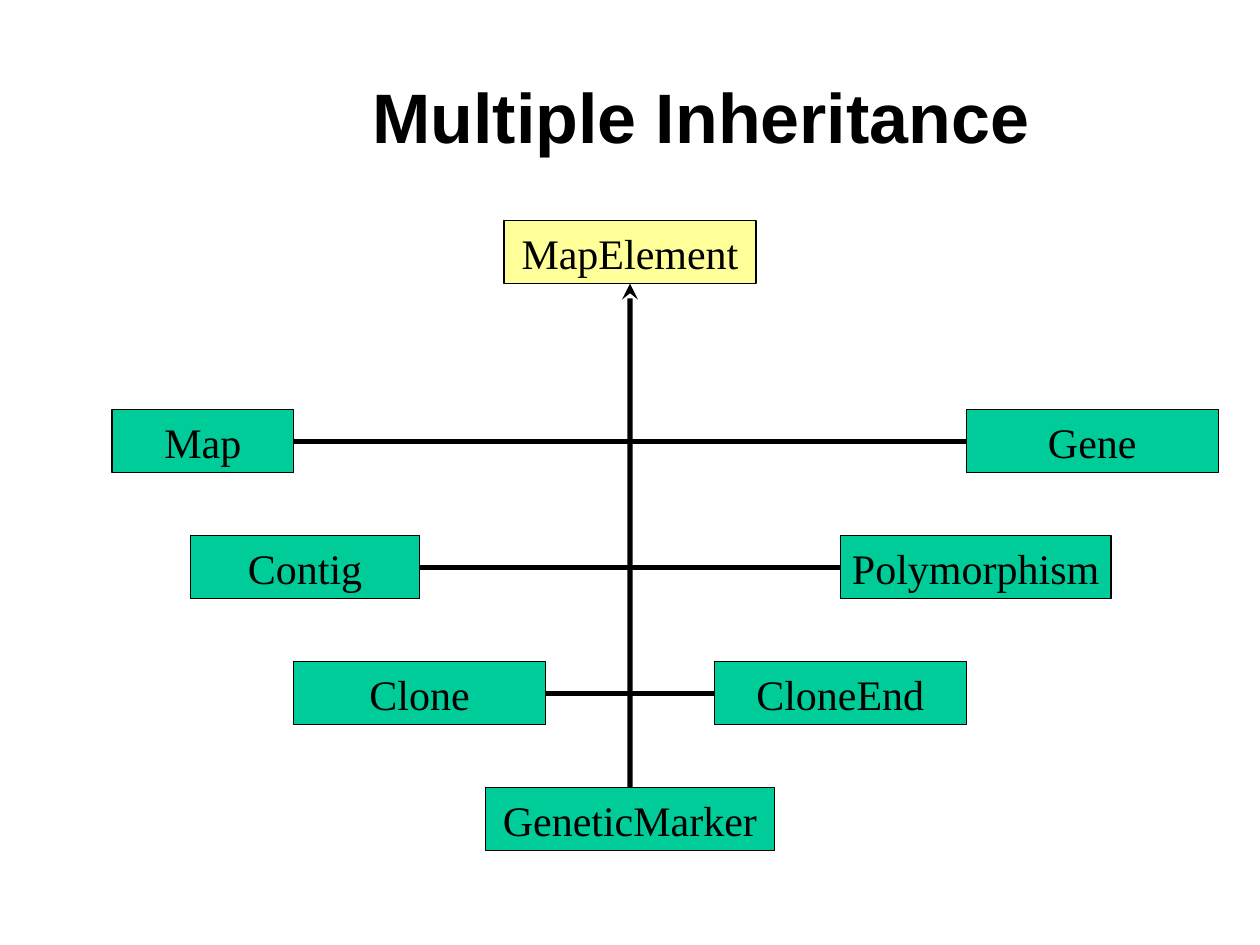
from lxml.etree import SubElement
from pptx import Presentation
from pptx.dml.color import RGBColor
from pptx.enum.shapes import MSO_CONNECTOR, MSO_SHAPE
from pptx.enum.text import MSO_ANCHOR, MSO_AUTO_SIZE, PP_ALIGN
from pptx.oxml.ns import qn
from pptx.util import Cm, Pt

BLACK = RGBColor(0x00, 0x00, 0x00)
YELLOW = RGBColor(0xFF, 0xFF, 0x99)
GREEN = RGBColor(0x00, 0xCC, 0x99)

TOP, LEFT, BOTTOM, RIGHT = range(4)  # connection sites of a rectangle

# Layout in cm
TRUNK_X = 12.7
BOX_HEIGHT = 1.27
FIRST_ROW_TOP = 8.26
ROW_STEP = 2.54
FIRST_BRANCH = 6.78  # trunk to box; each row is one step shorter

# Left class, its width, right class, its width
SUBCLASS_ROWS = [
    ("Map", 3.66, "Gene", 5.08),
    ("Contig", 4.62, "Polymorphism", 5.46),
    ("Clone", 5.08, "CloneEnd", 5.08),
]


def write_text(frame, text, font_name, size, bold=False):
    frame.vertical_anchor = MSO_ANCHOR.MIDDLE
    frame.auto_size = MSO_AUTO_SIZE.NONE
    paragraph = frame.paragraphs[0]
    paragraph.alignment = PP_ALIGN.CENTER
    run = paragraph.add_run()
    run.text = text
    run.font.name = font_name
    run.font.size = Pt(size)
    run.font.bold = bold
    run.font.color.rgb = BLACK
    return paragraph


def add_title(slide, text):
    title = slide.shapes.title
    title.left, title.top = Cm(4.01), Cm(0.91)
    title.width, title.height = Cm(20.24), Cm(3.2)
    paragraph = write_text(title.text_frame, text, "Arial", 40, bold=True)
    paragraph.line_spacing = 0.75


def add_class_box(slide, name, left, top, width, color=GREEN):
    box = slide.shapes.add_shape(
        MSO_SHAPE.RECTANGLE, Cm(left), Cm(top), Cm(width), Cm(BOX_HEIGHT))
    box.shadow.inherit = False
    box.fill.solid()
    box.fill.fore_color.rgb = color
    box.line.color.rgb = BLACK
    box.line.width = Pt(0.75)
    box.text_frame.word_wrap = False
    write_text(box.text_frame, name, "Times New Roman", 24)
    return box


def add_line(slide, start_box, start_site, end_x, end_y):
    line = slide.shapes.add_connector(
        MSO_CONNECTOR.STRAIGHT, end_x, end_y, end_x, end_y)
    line.begin_connect(start_box, start_site)
    line.line.color.rgb = BLACK
    line.line.width = Pt(3)
    SubElement(line._element.spPr, qn("a:effectLst"))
    return line


def add_branch(slide, box, site):
    add_line(slide, box, site, Cm(TRUNK_X), box.top + box.height // 2)


def add_trunk(slide, child, parent):
    trunk = add_line(slide, child, TOP, Cm(TRUNK_X), parent.top + parent.height)
    trunk.end_connect(parent, BOTTOM)
    SubElement(trunk.line._get_or_add_ln(), qn("a:tailEnd"), type="stealth")


def main():
    prs = Presentation()
    prs.slide_width, prs.slide_height = Cm(25.4), Cm(19.05)
    slide = prs.slides.add_slide(prs.slide_layouts[5])
    add_title(slide, "Multiple Inheritance")

    # Classes on the trunk
    parent = add_class_box(
        slide, "MapElement", TRUNK_X - 5.08 / 2, 4.45, 5.08, YELLOW)
    marker_top = FIRST_ROW_TOP + len(SUBCLASS_ROWS) * ROW_STEP
    marker = add_class_box(
        slide, "GeneticMarker", TRUNK_X - 5.82 / 2, marker_top, 5.82)

    # Classes on both sides
    pairs = []
    for row, (left_name, left_width, right_name, right_width) in enumerate(SUBCLASS_ROWS):
        top = FIRST_ROW_TOP + row * ROW_STEP
        branch = FIRST_BRANCH - row * ROW_STEP
        pairs.append((
            add_class_box(slide, left_name, TRUNK_X - branch - left_width, top, left_width),
            add_class_box(slide, right_name, TRUNK_X + branch, top, right_width),
        ))

    # Inheritance lines
    add_trunk(slide, marker, parent)
    for left_box, right_box in pairs:
        add_branch(slide, left_box, RIGHT)
        add_branch(slide, right_box, LEFT)

    prs.save("out.pptx")


if __name__ == "__main__":
    main()
